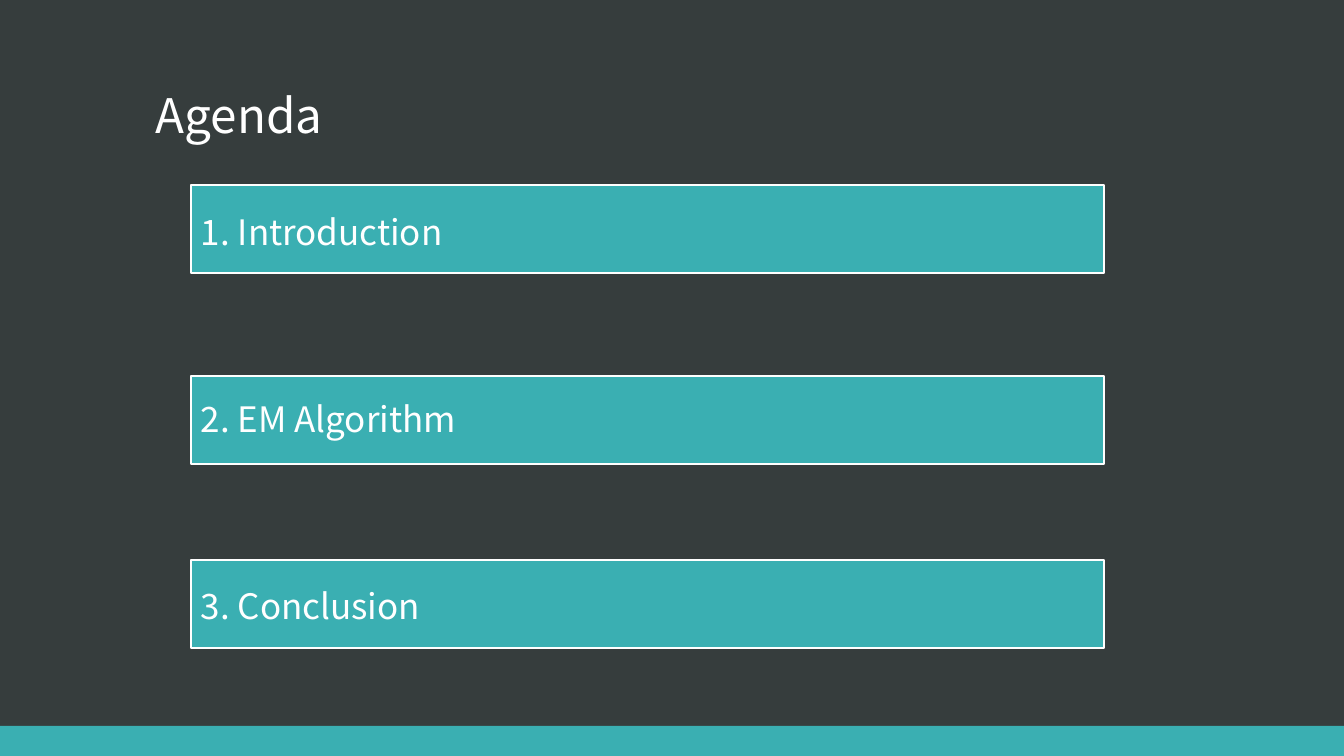
from dataclasses import dataclass

import pptx
import pptx.dml.color
import pptx.enum.shapes
import pptx.enum.text
import pptx.util

EMU_PER_PX = 914400 / 100.8
SLIDE_W, SLIDE_H = 1344, 756
FONT = "Noto Sans CJK SC"
COLORS = {"background": "363D3D", "teal": "3AAFB2", "white": "FFFFFF"}
ANCHOR = pptx.enum.text.MSO_ANCHOR

# Agenda rows share one left edge and size; labels are evenly spaced
ROW_LEFT, ROW_W = 191, 913
BAR_H, LABEL_H = 88, 97
LABEL_TOP, LABEL_PITCH = 186, 187


@dataclass(frozen=True)
class AgendaItem:
    text: str
    bar_top: int


ITEMS = [
    AgendaItem("1. Introduction", 185),
    AgendaItem("2. EM Algorithm", 376),
    AgendaItem("3. Conclusion", 560),
]


def px(n: int) -> pptx.util.Emu:
    return pptx.util.Emu(round(n * EMU_PER_PX))


def rgb(name: str) -> pptx.dml.color.RGBColor:
    return pptx.dml.color.RGBColor.from_string(COLORS[name])


def add_bar(shapes, left: int, top: int, width: int, height: int,
            outlined: bool = False) -> None:
    sp = shapes.add_shape(pptx.enum.shapes.MSO_SHAPE.RECTANGLE,
                          px(left), px(top), px(width), px(height))
    sp.shadow.inherit = False
    sp.fill.solid()
    sp.fill.fore_color.rgb = rgb("teal")
    if outlined:
        sp.line.color.rgb = rgb("white")
        sp.line.width = pptx.util.Pt(1)
    else:
        sp.line.fill.background()


def add_text(shapes, text: str, left: int, top: int, width: int, height: int,
             *, size: int, anchor: ANCHOR, inset_y: int) -> None:
    sp = shapes.add_textbox(px(left), px(top), px(width), px(height))
    tf = sp.text_frame
    tf.word_wrap = True
    tf.vertical_anchor = anchor
    tf.margin_left = tf.margin_right = px(10)
    tf.margin_top = tf.margin_bottom = px(inset_y)
    p = tf.paragraphs[0]
    p.line_spacing = 0.9
    r = p.add_run()
    r.text = text
    r.font.name = FONT
    r.font.size = pptx.util.Pt(size)
    r.font.color.rgb = rgb("white")


def main() -> None:
    prs = pptx.Presentation()
    prs.slide_width, prs.slide_height = px(SLIDE_W), px(SLIDE_H)
    s = prs.slides.add_slide(prs.slide_layouts[6])
    s.background.fill.solid()
    s.background.fill.fore_color.rgb = rgb("background")

    # Footer band and title
    add_bar(s.shapes, 0, 726, SLIDE_W, 30)
    add_text(s.shapes, "Agenda", 146, 13, 1048, 136,
             size=34, anchor=ANCHOR.BOTTOM, inset_y=5)

    # Agenda rows
    for i, item in enumerate(ITEMS):
        row = s.shapes.add_group_shape()
        add_bar(row.shapes, ROW_LEFT, item.bar_top, ROW_W, BAR_H, outlined=True)
        add_text(row.shapes, item.text, ROW_LEFT, LABEL_TOP + i * LABEL_PITCH,
                 ROW_W, LABEL_H, size=25, anchor=ANCHOR.MIDDLE, inset_y=10)

    prs.save("out.pptx")


if __name__ == "__main__":
    main()
